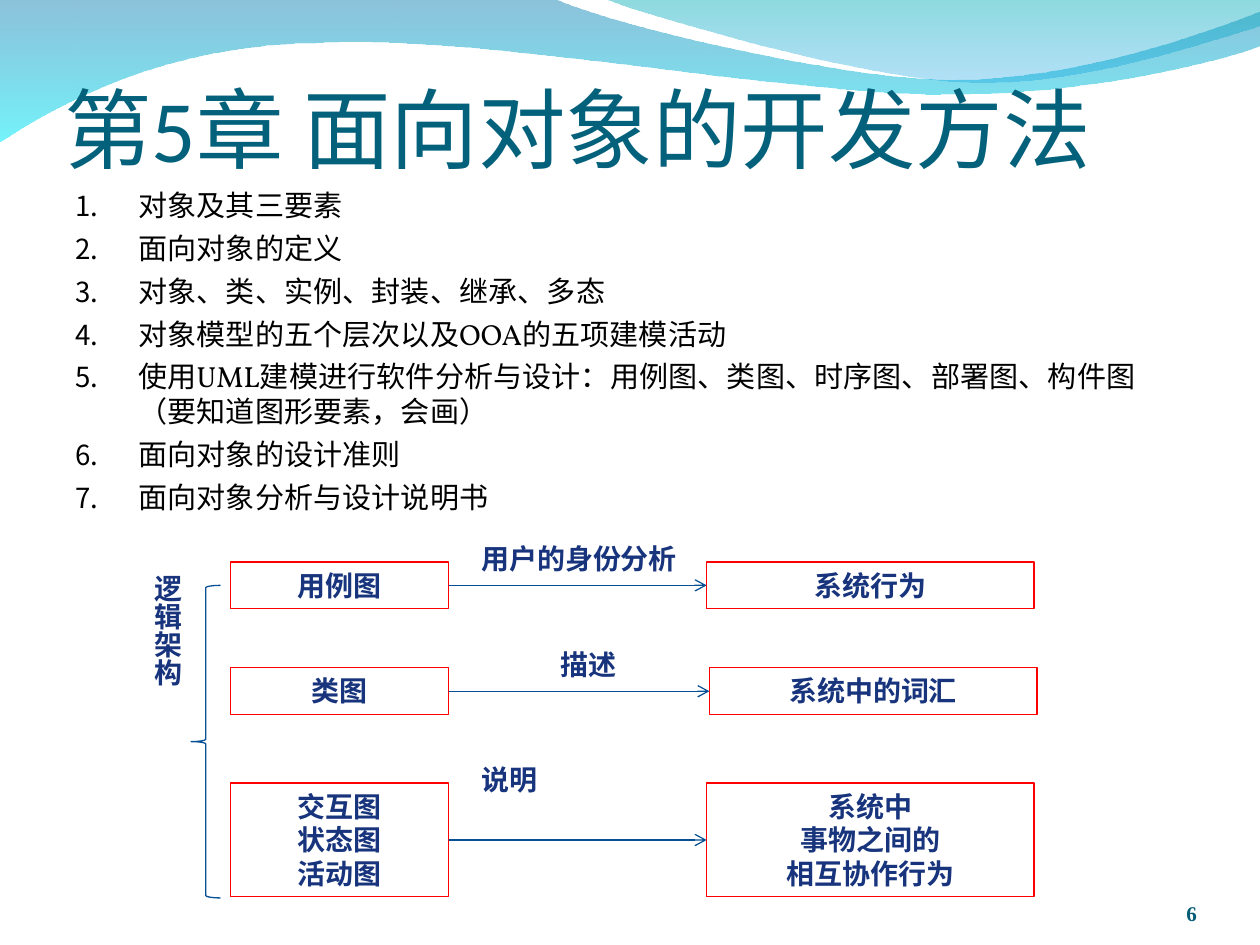
from dataclasses import dataclass

from lxml.etree import SubElement
from pptx import Presentation
from pptx.dml.color import RGBColor as RGB
from pptx.enum.shapes import MSO_CONNECTOR as CONN, MSO_SHAPE as KIND
from pptx.enum.text import (MSO_ANCHOR as ANCHOR, MSO_AUTO_SIZE as AUTO,
                            PP_ALIGN as ALIGN)
from pptx.oxml.ns import qn
from pptx.util import Pt


@dataclass(frozen=True)
class Theme:
    """Colours, fonts and sizes of the slide."""
    title: str = "04617B"
    body: str = "000000"
    page: str = "045C75"
    label: str = "17347D"
    frame: str = "FF0000"
    line: str = "065093"
    head: str = "Calibri"
    text: str = "Vollkorn"
    serif: str = "Times New Roman"
    big: float = 50
    mid: float = 16.65
    small: float = 16
    tiny: float = 12
    thin: float = 0.74


T = Theme()
TOPICS = [
    "对象及其三要素",
    "面向对象的定义",
    "对象、类、实例、封装、继承、多态",
    "对象模型的五个层次以及OOA的五项建模活动",
    "使用UML建模进行软件分析与设计：用例图、类图、时序图、部署图、构件图（要知道图形要素，会画）",
    "面向对象的设计准则",
    "面向对象分析与设计说明书",
]
# top, height, right box left, diagram, label, label alignment, meaning
ROWS = [
    (321.1, 26.8, 403.8, "用例图", "用户的身份分析", ALIGN.LEFT, "系统行为"),
    (381.6, 26.8, 405.4, "类图", "描述", ALIGN.CENTER, "系统中的词汇"),
    (447.5, 65, 403.8, "交互图\n状态图\n活动图", "说明", ALIGN.LEFT,
     "系统中\n事物之间的\n相互协作行为"),
]
# Each wave: start, then lines (one point) and curves (three points)
WAVES = [
    ((0, -0.7), [
        [(316.8, -0.7)],
        [(342.7, 12.2), (478, 45.4), (545.8, 45.4)],
        [(614.2, 45.4), (689.8, 18.7), (720, 6.5)],
        [(720.7, 25.9)],
        [(707.8, 31.7), (626.4, 54.7), (537.1, 54)],
        [(447.8, 54), (275, 20.2), (185, 24.5)],
        [(92.9, 25.2), (33.1, 59.8), (-0.7, 81.4)],
    ], [("0079AF", 45), ("00EBF8", 55)]),
    ((344.9, -0.7), [
        [(366.5, 7.9), (491, 44.6), (553.7, 46.8)],
        [(616.3, 49.7), (691.9, 23), (720, 15.1)],
        [(720, -0.7)],
    ], [("00ADB6", 45), ("009BE5", 30)]),
]


def bend(shape, parts):
    """Merge each three-point part of a freeform into one curve."""
    route = next(shape._element.iter(qn("a:path")))
    lines = iter(route.findall(qn("a:lnTo")))
    for part in parts:
        group = [next(lines) for _ in part]
        if len(group) == 3:
            curve = SubElement(route, qn("a:cubicBezTo"))
            route.replace(group[0], curve)
            for line in group:
                curve.append(line[0])
            for line in group[1:]:
                route.remove(line)


def add_wave(slide, start, parts, stops):
    """Draw a header wave with a see-through downward gradient."""
    pen = slide.shapes.build_freeform(*map(Pt, start))
    pen.add_line_segments([(Pt(x), Pt(y)) for part in parts for x, y in part],
                          close=True)
    wave = pen.convert_to_shape()
    bend(wave, parts)
    wave.shadow.inherit = False
    wave.line.fill.background()
    wave.fill.gradient()
    wave.fill.gradient_angle = 270
    for stop, (tone, _) in zip(wave.fill.gradient_stops, stops):
        stop.color.rgb = RGB.from_string(tone)
    tags = wave._element.spPr.iter(qn("a:srgbClr"))
    for tag, (_, part) in zip(tags, stops):
        SubElement(tag, qn("a:alpha"), val=str(part * 1000))


def set_text(shape, text, font, size, tone, bold=False, align=ALIGN.LEFT,
             anchor=None, pads=(7.2, 3.6, 7.2, 3.6)):
    """Fill a shape with text and format it."""
    frame = shape.text_frame
    frame.text = text
    frame.word_wrap = True
    frame.vertical_anchor = anchor
    (frame.margin_left, frame.margin_top,
     frame.margin_right, frame.margin_bottom) = map(Pt, pads)
    for para in frame.paragraphs:
        para.alignment = align
        for run in para.runs:
            run.font.name = font
            run.font.size = Pt(size)
            run.font.bold = bold
            run.font.color.rgb = RGB.from_string(tone)


def add_text(slide, spot, *args, **kw):
    """Add a text box at a spot in points."""
    box = slide.shapes.add_textbox(*map(Pt, spot))
    set_text(box, *args, **kw)
    return box


def add_label(slide, spot, text, **kw):
    """Add a bold diagram label that fits its text."""
    box = add_text(slide, spot, text, T.serif, T.small, T.label, True, **kw)
    box.text_frame.auto_size = AUTO.SHAPE_TO_FIT_TEXT
    return box


def add_list(slide, spot, items):
    """Add a numbered list with hanging indents."""
    box = add_text(slide, spot, "\n".join(items), T.text, T.mid, T.body)
    for para in box.text_frame.paragraphs:
        para.space_before = Pt(4.5)
        props = para._p.get_or_add_pPr()
        props.set("marL", str(Pt(36)))
        props.set("indent", str(-Pt(36)))
        tone = SubElement(props, qn("a:buClr"))
        SubElement(tone, qn("a:srgbClr"), val=T.body)
        SubElement(props, qn("a:buSzPct"), val="95000")
        SubElement(props, qn("a:buAutoNum"), type="arabicPeriod")


def add_form(slide, kind, spot, tone):
    """Add an unfilled outline shape."""
    form = slide.shapes.add_shape(kind, *map(Pt, spot))
    form.shadow.inherit = False
    form.fill.background()
    form.line.color.rgb = RGB.from_string(tone)
    form.line.width = Pt(T.thin)
    return form


def add_box(slide, spot, text):
    """Add a red frame with centred text."""
    box = add_form(slide, KIND.RECTANGLE, spot, T.frame)
    set_text(box, text, T.serif, T.small, T.label, True, ALIGN.CENTER,
             ANCHOR.TOP)
    box.text_frame.auto_size = AUTO.SHAPE_TO_FIT_TEXT
    return box


def add_arrow(slide, start, end):
    """Join the right side of one box to the left side of another."""
    link = slide.shapes.add_connector(CONN.STRAIGHT, 0, 0, 0, 0)
    link.begin_connect(start, 3)
    link.end_connect(end, 1)
    link.line.color.rgb = RGB.from_string(T.line)
    link.line.width = Pt(T.thin)
    SubElement(link.line._get_or_add_ln(), qn("a:tailEnd"), type="arrow")
    SubElement(link._element.spPr, qn("a:effectLst"))


def add_row(slide, top, high, left, name, label, align, sense):
    """Add a diagram box, its arrow and label, and its meaning."""
    start = add_box(slide, (131.8, top, 124.6, high), name)
    end = add_box(slide, (left, top, 187.2, high), sense)
    add_arrow(slide, start, end)
    add_label(slide, (268.1, top - 15.2, 136, 26.8), label, align=align)


def main():
    """Build and save the slide."""
    deck = Presentation()
    deck.slide_width, deck.slide_height = Pt(720), Pt(540)
    slide = deck.slides.add_slide(deck.slide_layouts[6])
    for wave in WAVES:
        add_wave(slide, *wave)
    add_text(slide, (36.7, 25.9, 648, 90), "第5章 面向对象的开发方法", T.head,
             T.big, T.title, anchor=ANCHOR.MIDDLE, pads=(0, 3.6, 0, 0))
    add_list(slide, (36, 103.7, 648, 198.7), TOPICS)
    add_text(slide, (624.2, 500.4, 59.8, 28.8), "6", T.serif, T.tiny, T.page,
             True, ALIGN.RIGHT, ANCHOR.BOTTOM, (0, 0, 0, 0))
    for row in ROWS:
        add_row(slide, *row)
    add_form(slide, KIND.LEFT_BRACE, (109.2, 334.5, 16.8, 178.6), T.line)
    side = add_label(slide, (75.6, 321.2, 33.1, 209.5), "逻辑架构",
                     align=ALIGN.CENTER, pads=(3.6, 7.2, 3.6, 7.2))
    side.text_frame._bodyPr.set("vert", "eaVert")
    deck.save("out.pptx")


main()
